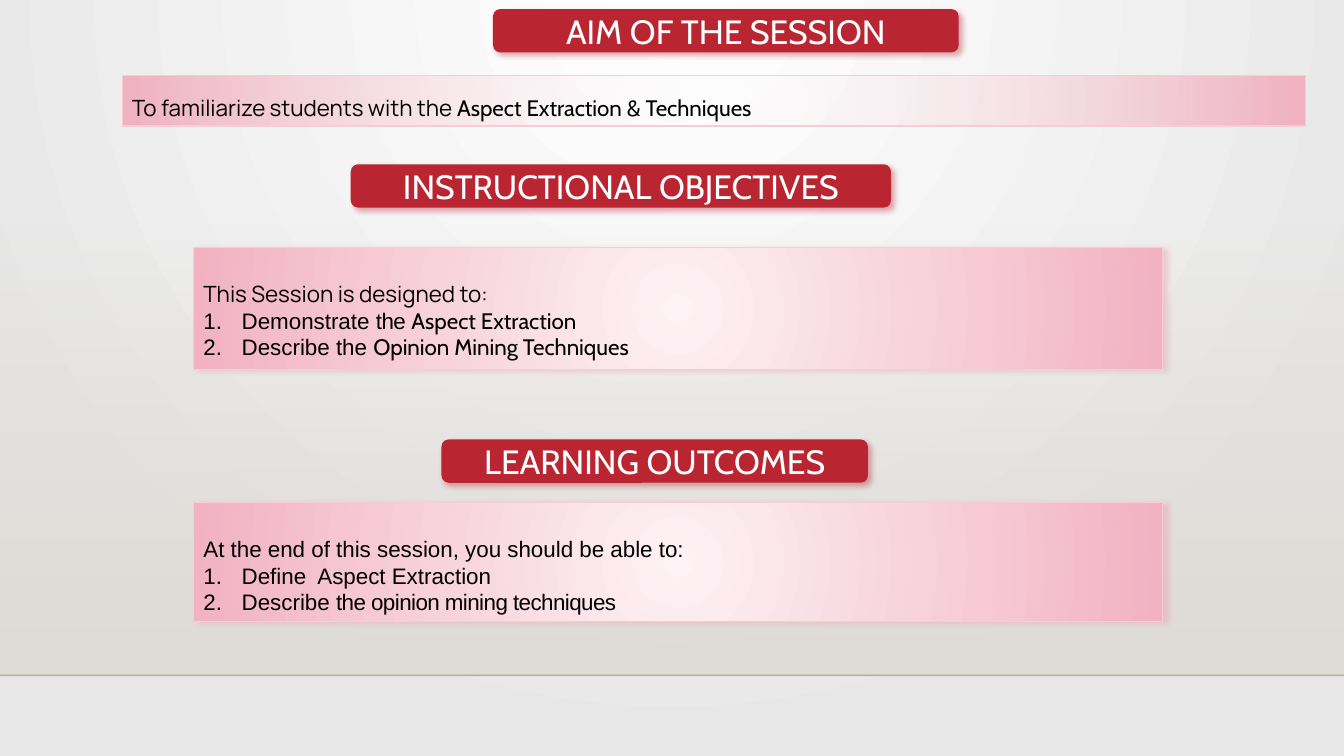
from lxml import etree
from pptx import Presentation
from pptx import util as u
from pptx.dml.color import RGBColor
from pptx.enum import shapes, text
from pptx.oxml import parse_xml
from pptx.oxml.ns import nsdecls, qn

WIDTH, HEIGHT = u.Inches(13.333), u.Inches(7.5)
WHITE = RGBColor(0xFF, 0xFF, 0xFF)
BLACK = RGBColor(0, 0, 0)
RULE = RGBColor(0, 0, 1)
RED = RGBColor(0xBA, 0x25, 0x32)
BLUSH = RGBColor(0xFD, 0xF2, 0xF5)
PINK = RGBColor(0xF2, 0xB2, 0xC2)
PINK_EDGE = RGBColor(0xF7, 0xCC, 0xD6)
PINK_SHADE = RGBColor(0xEE, 0x99, 0xAD)
SILVER = RGBColor(0xE7, 0xE7, 0xE7)
STONE = RGBColor(0xDF, 0xDB, 0xD5)
HEADER_HEIGHT = 5.73
CENTRE = '<a:path path="circle"><a:fillToRect l="50000" t="50000" r="50000" b="50000"/></a:path>'
TOP = '<a:path path="circle"><a:fillToRect l="43000" t="0" r="43000" b="100000"/></a:path>'
DOWN = '<a:lin ang="5400000" scaled="0"/>'


def across(share):
    return round(WIDTH * share / 100)


def down(share):
    return round(HEIGHT * share / 100)


def gradient(start, end, direction, start_alpha=100):
    return parse_xml(
        f'<a:gradFill {nsdecls("a")} rotWithShape="1"><a:gsLst>'
        f'<a:gs pos="0"><a:srgbClr val="{start}"><a:alpha val="{start_alpha * 1000}"/></a:srgbClr></a:gs>'
        f'<a:gs pos="100000"><a:srgbClr val="{end}"/></a:gs></a:gsLst>{direction}</a:gradFill>')


def add_box(slide, kind, box, fill, edge=None, shade=None, angle=0):
    left, top, width, height = box
    shape = slide.shapes.add_shape(kind, across(left), down(top), across(width), down(height))
    shape.shadow.inherit = False
    properties = shape.element.spPr
    if isinstance(fill, RGBColor):
        shape.fill.solid()
        shape.fill.fore_color.rgb = fill
    else:
        shape.fill.background()
        properties.replace(properties.find(qn("a:noFill")), fill)
    if edge is None:
        shape.line.fill.background()
    else:
        shape.line.color.rgb = edge
        shape.line.width = u.Pt(0.75)
    if shade is not None:
        properties.find(qn("a:effectLst")).append(parse_xml(
            f'<a:outerShdw {nsdecls("a")} blurRad="{u.Pt(4)}" dist="{u.Pt(3)}" dir="{angle * 60000}" '
            f'algn="tl" rotWithShape="0"><a:srgbClr val="{shade}"><a:alpha val="40000"/></a:srgbClr></a:outerShdw>'))
    return shape


def add_text(paragraph, content, font="Arial", size=16, color=BLACK, spacing=0):
    run = paragraph.add_run()
    run.text = content
    run.font.name, run.font.size, run.font.color.rgb = font, u.Pt(size), color
    if spacing:
        run.font._element.set("spc", str(round(spacing * 100)))


def add_number(paragraph):
    properties = paragraph._p.get_or_add_pPr()
    properties.set("marL", str(u.Inches(0.38)))
    properties.set("indent", str(-u.Inches(0.38)))
    etree.SubElement(properties, qn("a:buFont"), typeface="Arial")
    etree.SubElement(properties, qn("a:buAutoNum"), type="arabicPeriod")


def add_backdrop(slide):
    background = parse_xml(f'<p:bg {nsdecls("p", "a")}><p:bgPr><a:effectLst/></p:bgPr></p:bg>')
    background[0].insert(0, gradient(WHITE, SILVER, TOP))
    slide.element.cSld.insert(0, background)
    floor = 89.33
    add_box(slide, shapes.MSO_SHAPE.RECTANGLE, (0, 29.47, 100, floor - 29.47),
            gradient(STONE, STONE, DOWN, start_alpha=0))
    line = slide.shapes.add_connector(shapes.MSO_CONNECTOR.STRAIGHT, 0, down(floor), WIDTH, down(floor))
    line.line.color.rgb = RULE
    line.line.width = u.Pt(1)
    color = line.element.spPr.find(".//" + qn("a:srgbClr"))
    etree.SubElement(color, qn("a:alpha"), val="20000")
    etree.SubElement(line.element.spPr, qn("a:effectLst"))


def add_header(slide, box, title):
    shape = add_box(slide, shapes.MSO_SHAPE.ROUNDED_RECTANGLE, box, RED, shade=RED, angle=45)
    shape.text_frame.vertical_anchor = text.MSO_ANCHOR.MIDDLE
    paragraph = shape.text_frame.paragraphs[0]
    paragraph.alignment = text.PP_ALIGN.CENTER
    add_text(paragraph, title, font="Cabin", size=24, color=WHITE)


def add_panel(slide, box, lead, items, line_spacing, start_alpha=100, shade=None):
    fill = gradient(BLUSH, PINK, CENTRE, start_alpha)
    shape = add_box(slide, shapes.MSO_SHAPE.RECTANGLE, box, fill, edge=PINK_EDGE, shade=shade)
    frame = shape.text_frame
    frame.word_wrap = True
    frame.auto_size = text.MSO_AUTO_SIZE.SHAPE_TO_FIT_TEXT
    frame.vertical_anchor = text.MSO_ANCHOR.TOP
    for index, runs in enumerate([lead, *items]):
        paragraph = frame.add_paragraph() if index else frame.paragraphs[0]
        paragraph.alignment = text.PP_ALIGN.LEFT
        if index:
            add_number(paragraph)
        else:
            paragraph.line_spacing = line_spacing
        for content, style in runs:
            add_text(paragraph, content, **style)


def main():
    presentation = Presentation()
    presentation.slide_width, presentation.slide_height = WIDTH, HEIGHT
    slide = presentation.slides.add_slide(presentation.slide_layouts[6])
    plain, cabin, manrope = {}, {"font": "Cabin"}, {"font": "Manrope"}
    tight = {"spacing": -0.4}
    add_backdrop(slide)

    add_header(slide, (36.68, 1.2, 34.65, HEADER_HEIGHT), "AIM OF THE SESSION")
    add_panel(slide, (9.08, 10, 88.05, 6.67),
              [("To familiarize students with the ", manrope), ("Aspect Extraction & Techniques", cabin)],
              [], line_spacing=1.5, start_alpha=0)

    add_header(slide, (26.1, 21.73, 40.2, HEADER_HEIGHT), "INSTRUCTIONAL OBJECTIVES")
    add_panel(slide, (14.4, 32.8, 72.08, 16.13),
              [("This Session is designed to:", manrope)],
              [[("Demonstrate ", plain), ("the ", tight), ("Aspect Extraction", cabin)],
               [("Describe the ", plain), ("Opinion Mining Techniques", cabin)]],
              line_spacing=2, shade=PINK_SHADE)

    add_header(slide, (32.85, 58.13, 31.73, HEADER_HEIGHT), "LEARNING OUTCOMES")
    add_panel(slide, (14.4, 66.53, 72.08, 15.73),
              [("At the end of this session, you should be able to:", plain)],
              [[("Define  Aspect Extraction", plain)],
               [("Describe ", plain), ("the opinion mining techniques", tight)]],
              line_spacing=2, shade=PINK_SHADE)

    presentation.save("out.pptx")


if __name__ == "__main__":
    main()
